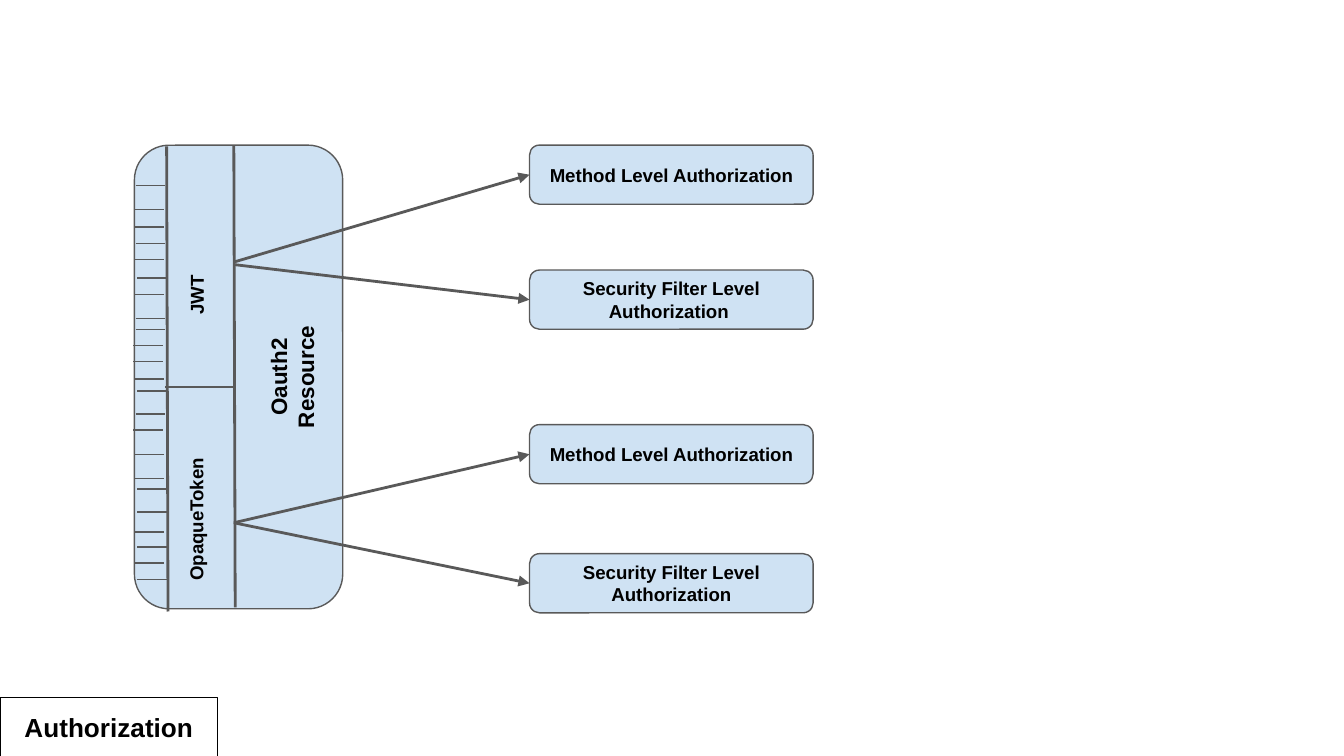
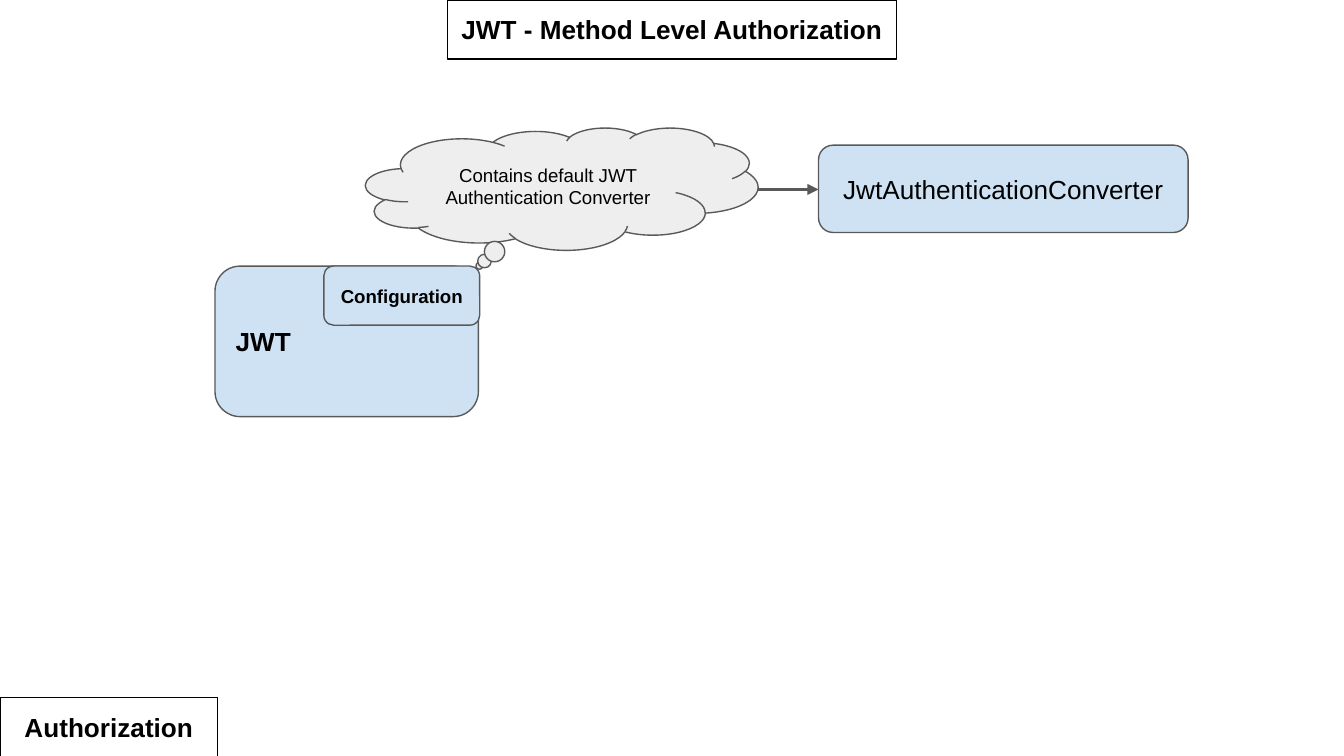
"""Builds two slides on OAuth2 resource authorization."""
from dataclasses import dataclass

from lxml import etree
from pptx import Presentation
from pptx.dml.color import RGBColor
from pptx.enum.shapes import MSO_CONNECTOR, MSO_SHAPE
from pptx.enum.text import MSO_ANCHOR, MSO_AUTO_SIZE, PP_ALIGN
from pptx.oxml.ns import qn
from pptx.util import Inches, Pt

RECTANGLE = MSO_SHAPE.RECTANGLE
ROUNDED = MSO_SHAPE.ROUNDED_RECTANGLE
CLOUD = MSO_SHAPE.CLOUD_CALLOUT
STRAIGHT = MSO_CONNECTOR.STRAIGHT
TOP, MIDDLE = MSO_ANCHOR.TOP, MSO_ANCHOR.MIDDLE
LEFT, CENTER = PP_ALIGN.LEFT, PP_ALIGN.CENTER
GROW, FIXED = MSO_AUTO_SIZE.SHAPE_TO_FIT_TEXT, MSO_AUTO_SIZE.NONE

FONT = "Arial"
BLACK, GRAY, BLUE, PALE = "000000", "595959", "CFE2F3", "EEEEEE"
THIN, THICK = 0.75, 1.5
INSET = 0.1
ROW_HEIGHT = 0.44
PAGE_WIDTH = 10
PAGE_HEIGHT = PAGE_WIDTH * 9 / 16


@dataclass
class Box:
    """A shape with text; lengths are inches and sizes are points."""
    text: str
    left: float
    top: float
    width: float
    height: float = ROW_HEIGHT
    kind: MSO_SHAPE = ROUNDED
    fill: str | None = BLUE
    line: str = GRAY
    size: int = 10
    bold: bool = True
    align: PP_ALIGN = CENTER
    anchor: MSO_ANCHOR = MIDDLE
    grow: bool = False
    rotation: int = 0
    inset_top: float = INSET
    adjustments: tuple[float, ...] = ()


@dataclass
class Line:
    """A straight line between two points, in inches."""
    start: tuple[float, float]
    end: tuple[float, float]
    width: float = THIN
    arrow: bool = False


def color(value: str) -> RGBColor:
    """Turn a hex string into a colour."""
    return RGBColor.from_string(value)


def fill_text(frame, box: Box) -> None:
    """Write and format the text of a box."""
    frame.text = box.text
    frame.word_wrap = True
    frame.auto_size = GROW if box.grow else FIXED
    frame.vertical_anchor = box.anchor
    frame.margin_left = frame.margin_right = frame.margin_bottom = Inches(INSET)
    frame.margin_top = Inches(box.inset_top)
    for para in frame.paragraphs:
        para.alignment = box.align
        para.font.name = FONT
        para.font.size = Pt(box.size)
        para.font.bold = box.bold
        para.font.color.rgb = color(BLACK)


def add_box(page, box: Box) -> None:
    """Draw an outlined shape with its text, filled if it has a fill."""
    shape = page.shapes.add_shape(box.kind, Inches(box.left), Inches(box.top),
                                  Inches(box.width), Inches(box.height))
    shape.shadow.inherit = False
    shape.rotation = box.rotation
    for index, value in enumerate(box.adjustments):
        shape.adjustments[index] = value
    if box.fill:
        shape.fill.solid()
        shape.fill.fore_color.rgb = color(box.fill)
    else:
        shape.fill.background()
    shape.line.color.rgb = color(box.line)
    shape.line.width = Pt(THIN)
    fill_text(shape.text_frame, box)


def add_label(page, label: Box) -> None:
    """Draw a text box without fill or outline."""
    shape = page.shapes.add_textbox(Inches(label.left), Inches(label.top),
                                    Inches(label.width), Inches(label.height))
    shape.rotation = label.rotation
    fill_text(shape.text_frame, label)


def add_line(page, line: Line) -> None:
    """Draw a gray line, with an arrowhead at its end if asked."""
    points = [Inches(value) for value in (*line.start, *line.end)]
    connector = page.shapes.add_connector(STRAIGHT, *points)
    connector.line.color.rgb = color(GRAY)
    connector.line.width = Pt(line.width)
    properties = connector._element.spPr
    if line.arrow:
        outline = properties.find(qn("a:ln"))
        etree.SubElement(outline, qn("a:tailEnd"), type="triangle")
    etree.SubElement(properties, qn("a:effectLst"))


def add_caption(page, text: str, left: float, top: float, width: float) -> None:
    """Draw a black-framed caption."""
    add_box(page, Box(text, left, top, width, kind=RECTANGLE, fill=None,
                      line=BLACK, size=14, anchor=TOP, grow=True))


def add_section(page) -> None:
    """Draw the section name at the lower left."""
    add_caption(page, "Authorization", 0, 5.19, 1.62)


TICK_LENGTH = 0.22
TICKS = {
    0.99: (2.57, 2.69, 3.2),
    1.0: (1.56, 1.69, 1.93, 2.19, 2.82, 3.38, 3.56, 3.96, 4.19),
    1.01: (1.38, 1.81, 2.37, 2.45, 3.08),
    1.02: (2.07, 2.91, 3.64, 3.81, 4.07, 4.31),
}
DIVIDERS = [
    Line((1.24, 1.09), (1.25, 4.55), THICK),
    Line((1.74, 1.08), (1.75, 4.52), THICK),
    Line((1.23, 2.88), (1.74, 2.88)),
]
TOKENS = [
    Box("JWT", 0.98, 2.01, 1, 0.37, anchor=TOP, grow=True, rotation=270),
    Box("OpaqueToken", 0.91, 3.68, 1.13, 0.37, anchor=TOP, grow=True, rotation=270),
]
LEVEL_LEFT, LEVEL_WIDTH = 3.94, 2.11
METHOD = "Method Level Authorization"
FILTER = "Security Filter Level Authorization"
# Text, top of the box, and start of the arrow that leads to it.
LEVELS = [
    (METHOD, 1.08, (1.74, 1.95)),
    (FILTER + " ", 2.01, (1.75, 1.97)),
    (METHOD, 3.16, (1.74, 3.89)),
    (FILTER, 4.12, (1.74, 3.89)),
]


def build_overview(page) -> None:
    """Show the resource, its token types and their authorization levels."""
    add_box(page, Box("Oauth2\nResource", 0.05, 2.03, 3.45, 1.55, size=12,
                      rotation=270, inset_top=0.89))
    for left, heights in TICKS.items():
        for top in heights:
            add_line(page, Line((left, top), (left + TICK_LENGTH, top)))
    for divider in DIVIDERS:
        add_line(page, divider)
    for token in TOKENS:
        add_label(page, token)
    add_section(page)
    for text, top, start in LEVELS:
        add_box(page, Box(text, LEVEL_LEFT, top, LEVEL_WIDTH))
        end = (LEVEL_LEFT, top + ROW_HEIGHT / 2)
        add_line(page, Line(start, end, THICK, arrow=True))


CONVERTER_BOXES = [
    Box("JWT", 1.6, 1.98, 1.96, 1.12, size=14, align=LEFT),
    Box("Configuration", 2.41, 1.98, 1.16),
    Box("Contains default JWT Authentication Converter", 2.72, 0.95, 2.92, 0.91,
        kind=CLOUD, fill=PALE, bold=False, adjustments=(-0.21, 0.63)),
    Box("JwtAuthenticationConverter", 6.09, 1.08, 2.75, 0.65, size=14, bold=False),
]


def build_method_level(page) -> None:
    """Show the converter behind the JWT configuration."""
    add_section(page)
    add_caption(page, "JWT - Method Level Authorization", 3.33, 0, 3.34)
    for box in CONVERTER_BOXES:
        add_box(page, box)
    add_line(page, Line((5.64, 1.41), (6.09, 1.41), THICK, arrow=True))


def main() -> None:
    """Build and save the deck."""
    deck = Presentation()
    deck.slide_width, deck.slide_height = Inches(PAGE_WIDTH), Inches(PAGE_HEIGHT)
    blank = deck.slide_layouts[6]
    for build in (build_overview, build_method_level):
        build(deck.slides.add_slide(blank))
    deck.save("out.pptx")


main()
